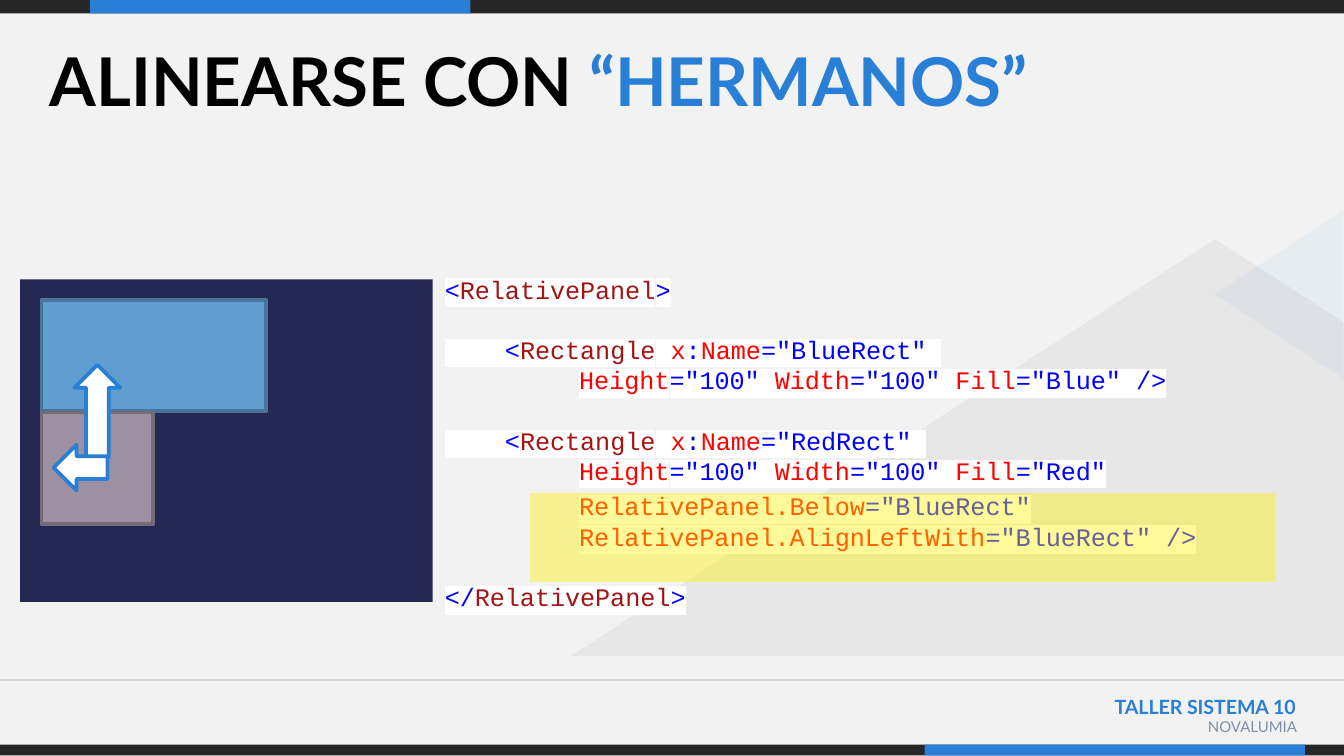
"""Build the slide on aligning sibling elements inside a RelativePanel."""
from lxml import etree
from pptx import Presentation
from pptx import util as u
from pptx.dml.color import RGBColor
from pptx.enum import shapes, text
from pptx.oxml import ns

WIDTH, HEIGHT = 10, 10 * 9 / 16
BLUE, DARK, WHITE = "297FD5", "262626", "FFFFFF"
RECT, ARROW = shapes.MSO_SHAPE.RECTANGLE, shapes.MSO_SHAPE.LEFT_ARROW
TRIANGLE = shapes.MSO_SHAPE.ISOSCELES_TRIANGLE
LEFT, RIGHT = text.PP_ALIGN.LEFT, text.PP_ALIGN.RIGHT

BARS = [
    ((0, 0, WIDTH, 0.1), DARK),
    ((0.67, 0, 2.83, 0.1), BLUE),
    ((0, 5.54, WIDTH, 0.08), DARK),
    ((6.88, 5.54, 2.83, 0.08), BLUE),
]
MOUNTAIN = [(10, 4.88), (10, 2.4), (9.04, 1.78), (4.25, 4.88)]
PEAK = (8.89, 1.71, 1.25, 0.96)
RULE_Y = 5.06

TITLE = [("ALINEARSE CON ", "000000"), ("“HERMANOS”", BLUE)]
FOOTER = [
    ((6.75, 5.12, 2.99, 0.4), "TALLER SISTEMA 10", BLUE, {"size": u.Pt(10.5), "bold": True}),
    ((7.94, 5.29, 1.81, 0.31), "NOVALUMIA", "7F8FA9", {"size": u.Pt(8)}),
]

PUNCT, TAG, ATTR = "0000FF", "A31515", "FF0000"
LINE = 16.2


def rectangle_code(name, color, end):
    """Return the coloured pieces of one Rectangle element."""
    return [
        ("    <", PUNCT), ("Rectangle", TAG), (" x", ATTR), (":", PUNCT), ("Name", ATTR),
        (f'="{name}" \n\t', PUNCT), ("Height", ATTR), ('="100"', PUNCT),
        (" Width", ATTR), ('="100"', PUNCT), (" Fill", ATTR), (f'="{color}"{end}', PUNCT),
    ]


CODE = [
    (0, [("<", PUNCT), ("RelativePanel", TAG), (">", PUNCT)]),
    (LINE, rectangle_code("BlueRect", "Blue", " />")),
    (LINE, rectangle_code("RedRect", "Red", "")),
    (2.7, [("\tRelativePanel.Below", ATTR), ('="BlueRect"\n\t', PUNCT),
           ("RelativePanel.AlignLeftWith", ATTR), ('="BlueRect" />', PUNCT)]),
    (LINE, [("</", PUNCT), ("RelativePanel", TAG), (">", PUNCT)]),
]

DIAGRAM = [
    (RECT, (0.15, 2.08, 3.07, 2.4), "242852", None, 0),
    (RECT, (0.31, 2.23, 1.67, 0.83), "629DD1", "49749B", 0),
    (RECT, (0.31, 3.07, 0.83, 0.83), "9D90A0", "746B76", 0),
    (ARROW, (0.38, 2.89, 0.69, 0.34), WHITE, BLUE, 90),
    (ARROW, (0.4, 3.31, 0.4, 0.34), WHITE, BLUE, 0),
]
HIGHLIGHT = (3.94, 3.67, 5.55, 0.66)


def rgb(value):
    """Turn a hex string into a colour."""
    return RGBColor.from_string(value)


def inches(values):
    """Turn numbers into lengths."""
    return [u.Inches(value) for value in values]


def paint(shape, fill, line=None, opacity=100, rotation=0):
    """Give a shape its fill, outline and turn."""
    shape.shadow.inherit = False
    shape.rotation = rotation
    shape.fill.solid()
    shape.fill.fore_color.rgb = rgb(fill)
    if opacity < 100:
        color = shape.fill._xPr.find(ns.qn("a:solidFill"))[0]
        etree.SubElement(color, ns.qn("a:alpha"), val=str(opacity * 1000))
    if line:
        shape.line.color.rgb = rgb(line)
        shape.line.width = u.Pt(2)
    else:
        shape.line.fill.background()


def add_shape(slide, kind, box, fill, **style):
    """Add a painted preset shape."""
    paint(slide.shapes.add_shape(kind, *inches(box)), fill, **style)


def add_frame(slide, box, **settings):
    """Add a wrapping text box and return its frame."""
    frame = slide.shapes.add_textbox(*inches(box)).text_frame
    for key, value in {"word_wrap": True, **settings}.items():
        setattr(frame, key, value)
    return frame


def add_pieces(paragraph, pieces, font, backdrop=None):
    """Write coloured pieces, breaking the line at each newline."""
    for content, color in pieces:
        for index, part in enumerate(content.split("\n")):
            if index:
                paragraph.add_line_break()
            run = paragraph.add_run()
            run.text = part
            for key, value in font.items():
                setattr(run.font, key, value)
            run.font.color.rgb = rgb(color)
            if backdrop:
                mark = etree.Element(ns.qn("a:highlight"))
                etree.SubElement(mark, ns.qn("a:srgbClr"), val=backdrop)
                run._r.rPr.find(ns.qn("a:solidFill")).addnext(mark)


def add_backdrop(slide):
    """Draw the bars, the footer and the mountains."""
    slide.background.fill.solid()
    slide.background.fill.fore_color.rgb = rgb("F2F2F2")
    for box, fill in BARS:
        add_shape(slide, RECT, box, fill)
    for box, content, color, font in FOOTER:
        paragraph = add_frame(slide, box).paragraphs[0]
        paragraph.alignment = RIGHT
        add_pieces(paragraph, [(content, color)], {"name": "Lato", **font})
    rule = slide.shapes.add_connector(
        shapes.MSO_CONNECTOR.STRAIGHT, *inches((0, RULE_Y, WIDTH, RULE_Y)))
    rule.line.color.rgb = rgb("D9D9D9")
    rule.line.width = u.Pt(0.75)
    etree.SubElement(rule._element.spPr, ns.qn("a:effectLst"))
    start, *rest = [inches(point) for point in MOUNTAIN]
    builder = slide.shapes.build_freeform(*start)
    builder.add_line_segments(rest, close=True)
    paint(builder.convert_to_shape(), DARK, opacity=5)
    add_shape(slide, TRIANGLE, PEAK, BLUE, opacity=5, rotation=270)


def add_code(slide, insets):
    """Write the listing with its tab stop and line gaps."""
    frame = add_frame(slide, (3.16, 0.97, 6.06, 4.65),
                      vertical_anchor=text.MSO_ANCHOR.MIDDLE, **insets)
    for index, (gap, pieces) in enumerate(CODE):
        paragraph = frame.add_paragraph() if index else frame.paragraphs[0]
        layout = {"alignment": LEFT, "line_spacing": u.Pt(LINE), "space_before": u.Pt(gap)}
        for key, value in layout.items():
            setattr(paragraph, key, value)
        stops = etree.SubElement(paragraph._p.get_or_add_pPr(), ns.qn("a:tabLst"))
        etree.SubElement(stops, ns.qn("a:tab"), pos=str(u.Inches(1)), algn="l")
        add_pieces(paragraph, pieces, {"name": "Courier New", "size": u.Pt(13.5)}, WHITE)


def main():
    """Assemble and save the slide."""
    deck = Presentation()
    deck.slide_width, deck.slide_height = inches((WIDTH, HEIGHT))
    slide = deck.slides.add_slide(deck.slide_layouts[6])
    add_backdrop(slide)
    insets = dict(zip(("margin_left", "margin_top", "margin_right", "margin_bottom"),
                      inches((0.15, 0.12, 0.15, 0.12))))
    heading = add_frame(slide, (0.22, 0.17, 9.56, 0.81), **insets)
    add_pieces(heading.paragraphs[0], TITLE, {"name": "Lato", "size": u.Pt(36), "bold": True})
    add_code(slide, insets)
    for kind, box, fill, line, rotation in DIAGRAM:
        add_shape(slide, kind, box, fill, line=line, rotation=rotation)
    add_shape(slide, RECT, HIGHLIGHT, "FFF100", opacity=40)
    deck.save("out.pptx")


if __name__ == "__main__":
    main()
